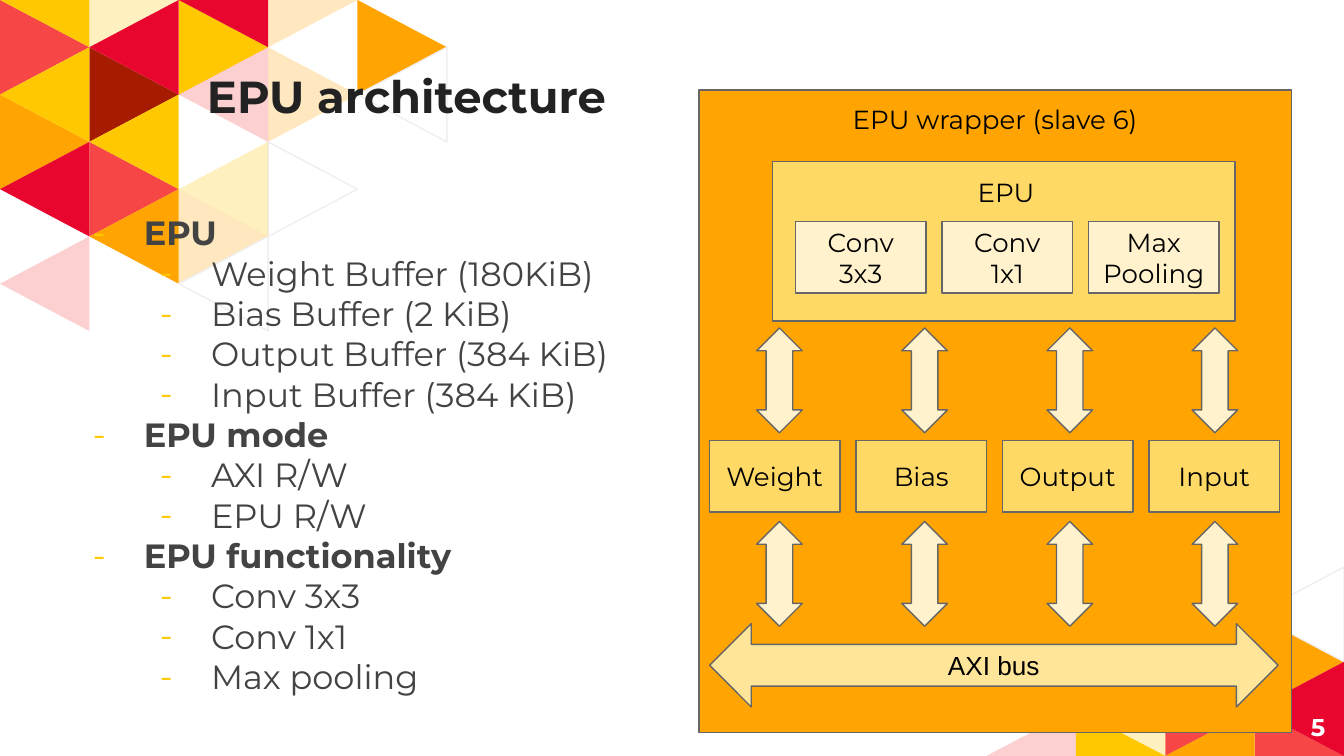
from pptx import Presentation
from pptx.dml.color import RGBColor
from pptx.enum.shapes import MSO_SHAPE
from pptx.enum.text import MSO_ANCHOR, MSO_AUTO_SIZE, PP_ALIGN
from pptx.oxml.ns import qn
from pptx.util import Inches, Pt
from lxml import etree

RECT = MSO_SHAPE.RECTANGLE
UP_DOWN = MSO_SHAPE.UP_DOWN_ARROW
LEFT_RIGHT = MSO_SHAPE.LEFT_RIGHT_ARROW
TOP, MIDDLE, BOTTOM = MSO_ANCHOR.TOP, MSO_ANCHOR.MIDDLE, MSO_ANCHOR.BOTTOM
LEFT, CENTER, RIGHT = PP_ALIGN.LEFT, PP_ALIGN.CENTER, PP_ALIGN.RIGHT
NO_FIT = MSO_AUTO_SIZE.NONE

ORANGE = RGBColor(0xFF, 0xA4, 0x00)
YELLOW = RGBColor(0xFF, 0xC8, 0x00)
CORAL = RGBColor(0xF6, 0x46, 0x46)
RED = RGBColor(0xE8, 0x06, 0x2F)
BROWN = RGBColor(0xA6, 0x1C, 0x00)
WHITE = RGBColor(0xFF, 0xFF, 0xFF)
PALE_GRAY = RGBColor(0xEF, 0xEF, 0xEF)
GOLD = RGBColor(0xFF, 0xD9, 0x66)
SAND = RGBColor(0xFF, 0xE5, 0x99)
CREAM = RGBColor(0xFF, 0xF2, 0xCC)
GRAY = RGBColor(0x66, 0x66, 0x66)
BODY_GRAY = RGBColor(0x43, 0x43, 0x43)
TITLE_GRAY = RGBColor(0x22, 0x22, 0x22)
BLACK = RGBColor(0x00, 0x00, 0x00)

FONT = "Montserrat"
SLIDE_W, SLIDE_H = 10, 5.625
TRI_W, TRI_H = 0.665, 0.352

# column, half-row of the top corner, pointing direction, colour, opacity
TOP_TRIANGLES = [
    (0, 2, "R", ORANGE, 100), (1, 1, "R", BROWN, 100), (1, 3, "R", CORAL, 100),
    (3, 1, "R", ORANGE, 25), (2, 4, "R", ORANGE, 25), (3, 3, "R", WHITE, 100),
    (0, 0, "R", CORAL, 100), (1, -1, "R", YELLOW, 25), (2, 0, "R", YELLOW, 100),
    (3, -1, "R", ORANGE, 25), (4, 0, "R", ORANGE, 100), (0, 1, "L", YELLOW, 100),
    (1, 2, "L", YELLOW, 100), (0, 3, "L", RED, 100), (1, 4, "L", ORANGE, 100),
    (0, 5, "L", CORAL, 25), (2, 1, "L", CORAL, 25), (2, 3, "L", YELLOW, 25),
    (2, 5, "L", WHITE, 100), (4, 1, "L", WHITE, 100), (0, -1, "L", YELLOW, 100),
    (1, 0, "L", RED, 100), (2, -1, "L", RED, 100),
]
CORNER_TRIANGLES = [
    (3, 1, "R", ORANGE, 100), (1, 3, "R", YELLOW, 100), (2, 2, "R", CORAL, 100),
    (3, 3, "R", CORAL, 100), (3, 0, "L", WHITE, 100), (1, 2, "L", YELLOW, 25),
    (2, 3, "L", ORANGE, 100), (3, 2, "L", RED, 100), (0, 3, "L", CORAL, 25),
]
OUTLINE = [
    ("EPU", ["Weight Buffer (180KiB)", "Bias Buffer (2 KiB)",
             "Output Buffer (384 KiB)", "Input Buffer (384 KiB)"]),
    ("EPU mode", ["AXI R/W", "EPU R/W"]),
    ("EPU functionality", ["Conv 3x3", "Conv 1x1", "Max pooling"]),
]


def place(sp, x, y, w, h):
    sp.left, sp.top, sp.width, sp.height = map(Inches, (x, y, w, h))


def set_frame(tf, anchor):
    tf.word_wrap = True
    tf.auto_size = NO_FIT
    tf.vertical_anchor = anchor
    tf.margin_left = tf.margin_right = Inches(0.1)
    tf.margin_top = tf.margin_bottom = Inches(0.1)


def add_run(p, text, size, color, bold=False, font=FONT):
    r = p.add_run()
    r.text = text
    r.font.name, r.font.size, r.font.bold = font, Pt(size), bold
    r.font.color.rgb = color


def add_lines(tf, lines, align, size, color, bold=False, font=FONT):
    for i, line in enumerate(lines):
        p = tf.add_paragraph() if i else tf.paragraphs[0]
        p.alignment = align
        add_run(p, line, size, color, bold, font)


def add_label(s, text, x, y, w, h, align=CENTER, anchor=TOP, size=14,
              color=BLACK, bold=False):
    sp = s.shapes.add_textbox(*map(Inches, (x, y, w, h)))
    set_frame(sp.text_frame, anchor)
    add_lines(sp.text_frame, [text], align, size, color, bold)


def add_block(s, kind, x, y, w, h, fill, lines=(), font=FONT, adj=()):
    sp = s.shapes.add_shape(kind, *map(Inches, (x, y, w, h)))
    sp.shadow.inherit = False
    sp.fill.solid()
    sp.fill.fore_color.rgb = fill
    sp.line.color.rgb = GRAY
    sp.line.width = Pt(0.75)
    for i, value in enumerate(adj):
        sp.adjustments[i] = value
    set_frame(sp.text_frame, MIDDLE)
    add_lines(sp.text_frame, lines, CENTER, 14, BLACK, font=font)


def add_triangles(s, x, y, triangles):
    for col, row, direction, color, opacity in triangles:
        base, tip = (col, col + 1) if direction == "R" else (col + 1, col)
        corners = [(base, row), (base, row + 2), (tip, row + 1)]
        pts = [(Inches(x + c * TRI_W),
                Inches(min(max(y + r * TRI_H, 0), SLIDE_H))) for c, r in corners]
        fb = s.shapes.build_freeform(*pts[0])
        fb.add_line_segments(pts[1:], close=True)
        sp = fb.convert_to_shape()
        sp.shadow.inherit = False
        sp.fill.solid()
        sp.fill.fore_color.rgb = color
        if color == WHITE:
            sp.line.color.rgb = PALE_GRAY
            sp.line.width = Pt(0.75)
        else:
            sp.line.fill.background()
        if opacity < 100:
            clr = sp.fill._xPr.find(".//" + qn("a:srgbClr"))
            etree.SubElement(clr, qn("a:alpha"), val=str(opacity * 1000))


def bring_to_front(sp):
    el = sp._element
    el.getparent().append(el)


def fill_title(s, x, y, w, h):
    sp = s.shapes.title
    bring_to_front(sp)
    place(sp, x, y, w, h)
    set_frame(sp.text_frame, BOTTOM)
    add_lines(sp.text_frame, ["EPU architecture"], LEFT, 24, TITLE_GRAY, True)


def fill_outline(s, x, y, w, h):
    sp = s.placeholders[1]
    bring_to_front(sp)
    place(sp, x, y, w, h)
    tf = sp.text_frame
    set_frame(tf, TOP)
    items = [(level, text) for head, subs in OUTLINE
             for level, text in [(0, head)] + [(1, sub) for sub in subs]]
    for i, (level, text) in enumerate(items):
        p = tf.add_paragraph() if i else tf.paragraphs[0]
        p.level = level
        p.alignment = LEFT
        p.space_before = Pt(0 if i else 6)
        pPr = p._p.get_or_add_pPr()
        pPr.set("marL", str(Inches(0.5 * (level + 1))))
        pPr.set("indent", str(Inches(-0.38)))
        clr = etree.SubElement(pPr, qn("a:buClr"))
        etree.SubElement(clr, qn("a:srgbClr"), val=str(YELLOW))
        etree.SubElement(pPr, qn("a:buFont"), typeface=FONT)
        etree.SubElement(pPr, qn("a:buChar"), char="-")
        add_run(p, text, 18, BODY_GRAY, level == 0)


def add_wrapper(s, x, y, w, h):
    add_block(s, RECT, x, y, w, h, ORANGE)
    add_label(s, "EPU wrapper (slave 6)", x + 0.25, y, 3.91, 0.44)
    add_block(s, RECT, x + 0.55, y + 0.53, 3.44, 1.19, GOLD)
    add_label(s, "EPU", x + 1.79, y + 0.54, 0.99, 0.44)
    units = [["Conv 3x3"], ["Conv 1x1"], ["Max", "Pooling"]]
    for i, lines in enumerate(units):
        add_block(s, RECT, x + 0.72 + i * 1.09, y + 0.98, 0.97, 0.53, CREAM, lines)
    add_block(s, LEFT_RIGHT, x + 0.08, y + 3.97, 4.23, 0.62, SAND, ["AXI bus"],
              "Arial", (0.5, 0.5))
    for i, name in enumerate(["Weight", "Bias", "Output", "Input"]):
        add_block(s, RECT, x + 0.08 + i * 1.09, y + 2.61, 0.97, 0.53, GOLD, [name])
        for top in (1.77, 3.21):
            add_block(s, UP_DOWN, x + 0.43 + i * 1.08, y + top, 0.34, 0.78, CREAM,
                      adj=(0.59, 0.58))


def main():
    prs = Presentation()
    prs.slide_width, prs.slide_height = Inches(SLIDE_W), Inches(SLIDE_H)
    s = prs.slides.add_slide(prs.slide_layouts[1])
    add_triangles(s, 0, 0, TOP_TRIANGLES)
    add_triangles(s, 7.34, 4.22, CORNER_TRIANGLES)
    fill_title(s, 1.44, 0.28, 7.06, 0.73)
    add_wrapper(s, 5.2, 0.67, 4.41, 4.78)
    fill_outline(s, 0.47, 1.48, 4.41, 3.96)
    add_label(s, "5", 9.36, 5.19, 0.6, 0.43, RIGHT, MIDDLE, 13, WHITE, True)
    prs.save("out.pptx")


if __name__ == "__main__":
    main()
